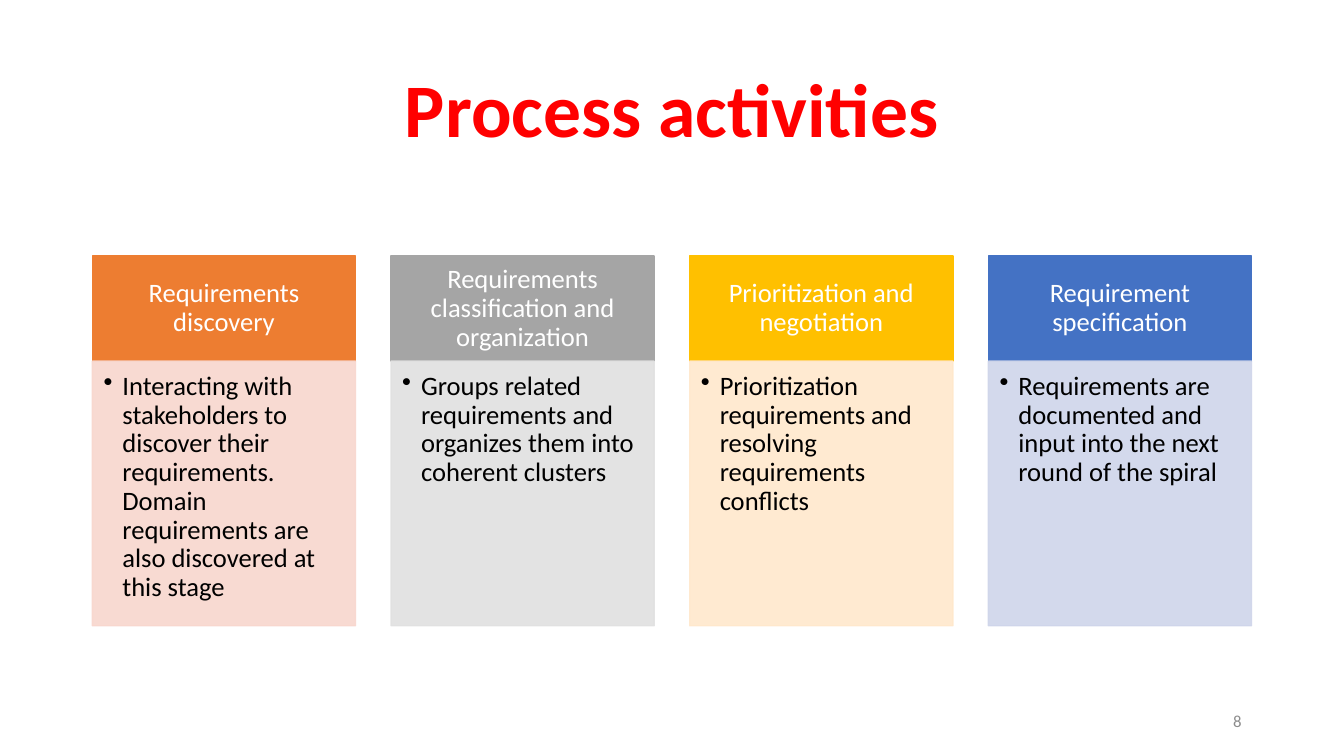
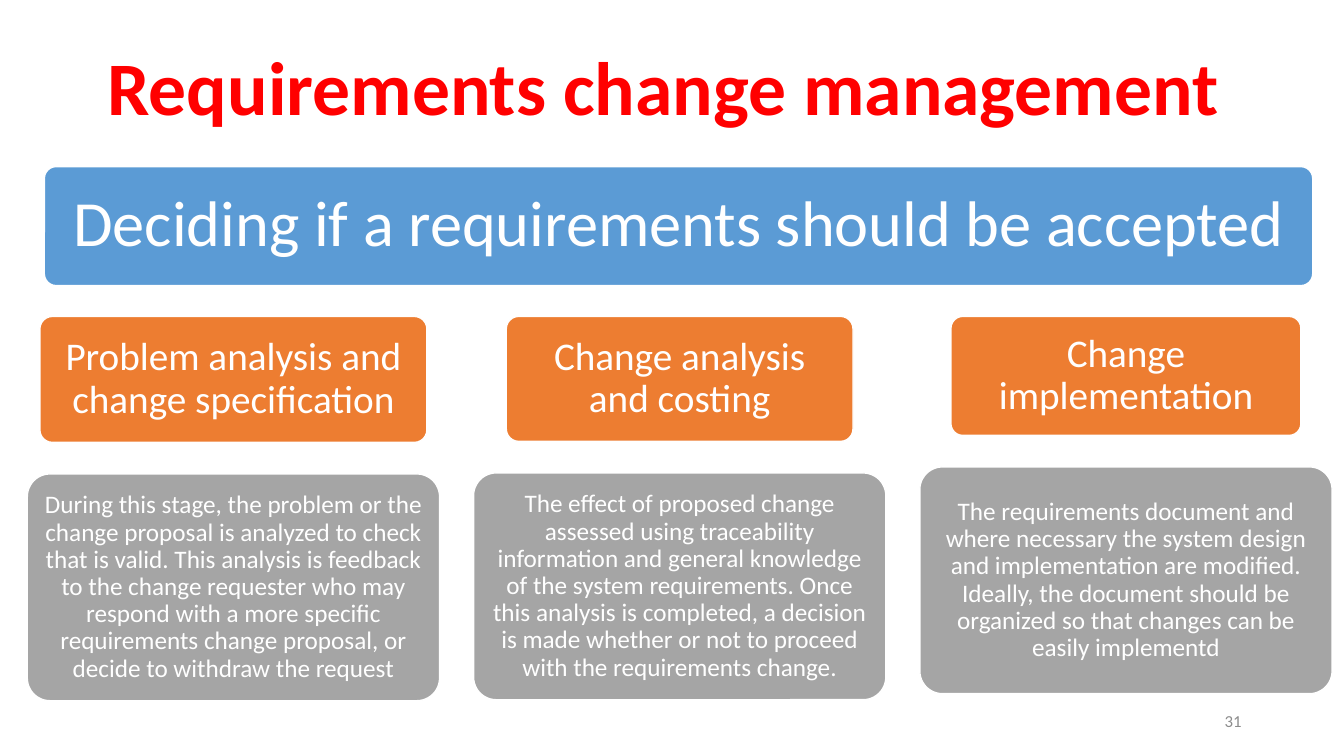
import pptx
import pptx.util
import pptx.dml.color
import pptx.enum.shapes
import pptx.enum.text
import pptx.oxml.ns
import lxml.etree

Pt = pptx.util.Pt
ALIGN = pptx.enum.text.PP_ALIGN
ANCHOR = pptx.enum.text.MSO_ANCHOR
SHAPE = pptx.enum.shapes.MSO_SHAPE
FONT = "Calibri"
WHITE, BLACK, RED, PAGE = "FFFFFF", "000000", "FF0000", "8C8C8C"
BLUE, ORANGE, GREY = "5B9BD5", "ED7D31", "A5A5A5"

STEPS = [
    ("Requirements discovery", ORANGE, "F8D7CE",
     "Interacting with stakeholders to discover their requirements. "
     "Domain requirements are also discovered at this stage"),
    ("Requirements classification and organization", GREY, "E1E1E1",
     "Groups related requirements and organizes them into coherent clusters"),
    ("Prioritization and negotiation", "FFC000", "FFE8CC",
     "Prioritization requirements and resolving requirements conflicts"),
    ("Requirement specification", "4472C4", "CFD5EA",
     "Requirements are documented and input into the next round of the spiral"),
]
STAGES = [
    ("Problem analysis and change specification", 276.5, 90,
     "During this stage, the problem or the change proposal is analyzed to check "
     "that is valid. This analysis is feedback to the change requester who may "
     "respond with a more specific requirements change proposal, or decide to "
     "withdraw the request"),
    ("Change analysis and costing", 247.7, 89.3,
     "The effect of proposed change assessed using traceability information and "
     "general knowledge of the system requirements. Once this analysis is "
     "completed, a decision is made whether or not to proceed with the "
     "requirements change."),
    ("Change implementation", 250, 85,
     "The requirements document and where necessary the system design and "
     "implementation are modified. Ideally, the document should be organized so "
     "that changes can be easily implementd"),
]


def paint(form, color, alpha=None):
    """Set a fill, line or font colour format to a hex colour."""
    if hasattr(form, "solid"):
        form.solid()
        form = form.fore_color
    form.rgb = pptx.dml.color.RGBColor.from_string(color)
    if alpha:
        for node in form._xFill.iter(pptx.oxml.ns.qn("a:srgbClr")):
            tag = lxml.etree.SubElement(node, pptx.oxml.ns.qn("a:alpha"))
            tag.set("val", str(alpha * 1000))


def write(frame, text, size, color, align=ALIGN.CENTER, anchor=ANCHOR.MIDDLE,
          inset=(7.2, 3.6, 7.2, 3.6), bold=False, space=0.9, bullet=0):
    """Put one formatted paragraph in a text frame."""
    frame.word_wrap = True
    frame.auto_size = pptx.enum.text.MSO_AUTO_SIZE.NONE
    frame.vertical_anchor = anchor
    for side, gap in zip(("left", "top", "right", "bottom"), inset):
        setattr(frame, "margin_" + side, Pt(gap))
    para = frame.paragraphs[0]
    para.alignment, para.line_spacing = align, space
    run = para.add_run()
    run.text = text
    run.font.name, run.font.size, run.font.bold = FONT, Pt(size), bold
    paint(run.font.color, color)
    if bullet:
        props = para._p.get_or_add_pPr()
        props.set("marL", str(Pt(bullet)))
        props.set("indent", str(-Pt(bullet)))
        mark = lxml.etree.SubElement(props, pptx.oxml.ns.qn("a:buChar"))
        mark.set("char", "•")


def block(slide, kind, box, fill, line, text, size, color=WHITE, alpha=None, **form):
    """Draw a filled shape holding text."""
    shape = slide.shapes.add_shape(kind, *map(Pt, box))
    shape.shadow.inherit = False
    if kind == SHAPE.ROUNDED_RECTANGLE:
        shape.adjustments[0] = 0.1
    paint(shape.fill, fill, alpha)
    paint(shape.line.fill, line, alpha)
    shape.line.width = Pt(1)
    write(shape.text_frame, text, size, color, **form)


def start(deck, title, high, page):
    """Add a slide with its title and page number."""
    slide = deck.slides.add_slide(deck.slide_layouts[5])
    head = slide.shapes.title
    head.left, head.top, head.width, head.height = map(Pt, (66, 28.8, 828, high))
    write(head.text_frame, title, 54, RED, bold=True)
    foot = slide.shapes.add_textbox(*map(Pt, (678, 500.5, 216, 28.8)))
    write(foot.text_frame, page, 12, PAGE, align=ALIGN.RIGHT, space=1)
    return slide


def columns(slide, box, steps):
    """Fill a box with equal columns of header and bullet."""
    left, top, width, high = box
    wide, head = 188, 75
    pitch = (width - wide) / (len(steps) - 1)
    for i, (name, dark, light, text) in enumerate(steps):
        x = left + i * pitch
        block(slide, SHAPE.RECTANGLE, (x, top, wide, head), dark, dark, name, 19,
              inset=(10.6, 6, 10.6, 6))
        block(slide, SHAPE.RECTANGLE, (x, top + head, wide, high - head), light, light,
              text, 19, BLACK, alpha=90, align=ALIGN.LEFT, anchor=ANCHOR.TOP,
              inset=(8, 8, 10.6, 12), bullet=13.5)


def stages(slide, box, items):
    """Fill a box with centred stage names above their details."""
    left, top, width, high = box
    wide, gap = 294.5, 22.5
    pitch = (width - wide) / (len(items) - 1)
    for i, (name, span, tall, text) in enumerate(items):
        x = left + i * pitch
        block(slide, SHAPE.ROUNDED_RECTANGLE, (x + (wide - span) / 2, top, span, tall),
              ORANGE, WHITE, name, 28, inset=[8.4] * 4)
        block(slide, SHAPE.ROUNDED_RECTANGLE, (x, top + tall + gap, wide, high),
              GREY, WHITE, text, 18, inset=[5.2] * 4)


def main():
    """Build and save the deck."""
    deck = pptx.Presentation()
    deck.slide_width, deck.slide_height = Pt(960), Pt(540)
    columns(start(deck, "Process activities", 104.4, "8"), (66, 183, 828, 264), STEPS)
    slide = start(deck, "Requirements change management ", 72, "31")
    block(slide, SHAPE.ROUNDED_RECTANGLE, (31.7, 119, 906, 85), BLUE, WHITE,
          "Deciding if a requirements should be accepted", 46, inset=[13.7] * 4)
    stages(slide, (19.5, 226, 932, 162), STAGES)
    deck.save("out.pptx")


if __name__ == "__main__":
    main()
